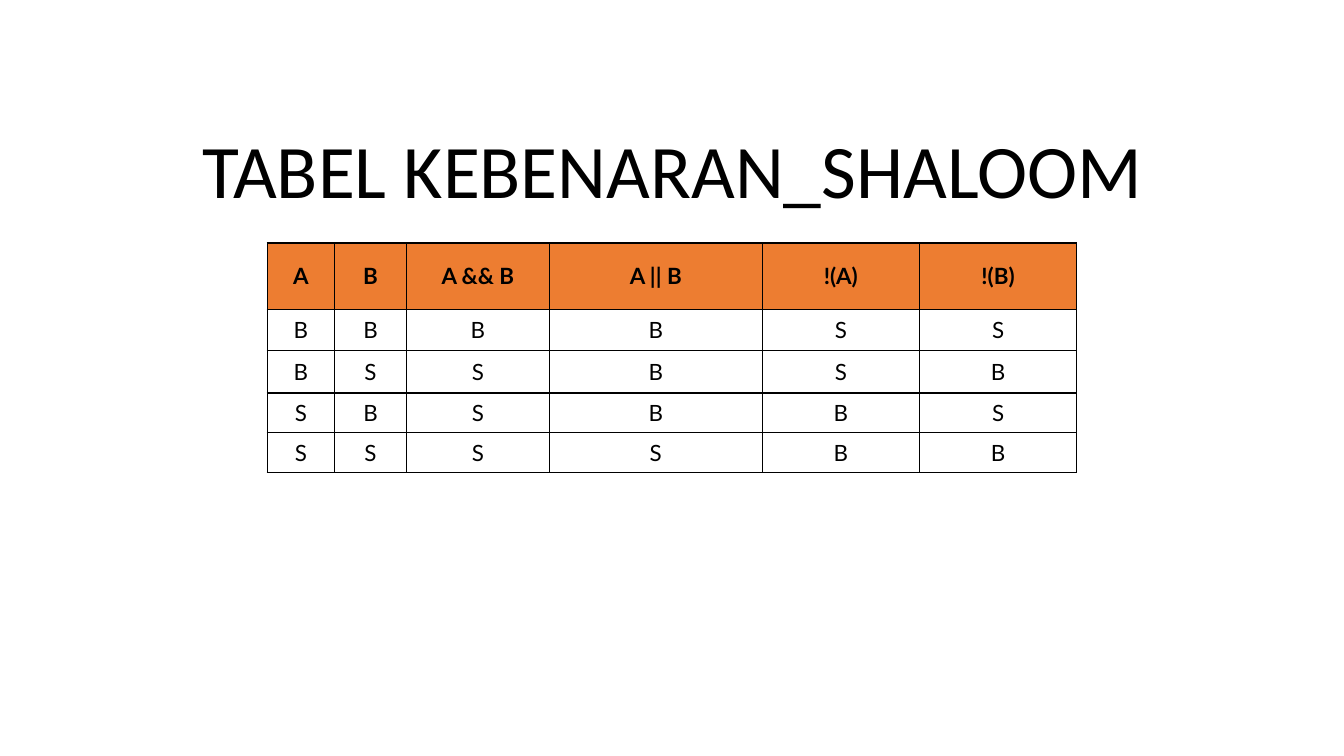
from lxml import etree
from pptx import Presentation
from pptx import util as u
from pptx.dml.color import RGBColor
from pptx.enum import text
from pptx.oxml.ns import qn

PX = 9144  # EMU per px, 100 px to the inch
COLORS = {"ink": "000000", "header": "ED7D31", "body": "FFFFFF"}

HEADINGS = ["A", "B", "A && B", "A || B", "!(A)", "!(B)"]
TRUTH_ROWS = ["BBBBSS", "BSSBSB", "SBSBBS", "SSSSBB"]
COLUMN_WIDTHS = [67, 71, 142, 211, 156, 156]
ROW_HEIGHTS = [66, 41, 42, 39, 40]


def px(length):
    return u.Emu(length * PX)


def write_text(frame, content, font="Lato", size=16, bold=False, spacing=1.0):
    paragraph = frame.paragraphs[0]
    paragraph.alignment = text.PP_ALIGN.CENTER
    paragraph.line_spacing = spacing
    run = paragraph.add_run()
    run.text = content
    run.font.name = font
    run.font.size = u.Pt(size)
    run.font.bold = bold
    run.font.color.rgb = RGBColor.from_string(COLORS["ink"])


def add_title(slide, content, left, top, width, height):
    title = slide.shapes.add_textbox(px(left), px(top), px(width), px(height))
    title.text_frame.word_wrap = True
    title.text_frame.vertical_anchor = text.MSO_ANCHOR.BOTTOM
    write_text(title.text_frame, content, font="Calibri", size=54, spacing=0.9)


def draw_borders(cell):
    properties = cell._tc.get_or_add_tcPr()
    for side in ("a:lnL", "a:lnR", "a:lnT", "a:lnB"):
        border = etree.SubElement(properties, qn(side), w=str(u.Pt(1)))
        fill = etree.SubElement(border, qn("a:solidFill"))
        etree.SubElement(fill, qn("a:srgbClr"), val=COLORS["ink"])


def fill_cell(cell, content, color, bold):
    draw_borders(cell)
    cell.fill.solid()
    cell.fill.fore_color.rgb = RGBColor.from_string(COLORS[color])
    cell.vertical_anchor = text.MSO_ANCHOR.MIDDLE
    write_text(cell.text_frame, content, bold=bold)


def add_truth_table(slide, left, top):
    rows = [HEADINGS, *TRUTH_ROWS]
    truth_table = slide.shapes.add_table(
        len(rows), len(HEADINGS), px(left), px(top),
        px(sum(COLUMN_WIDTHS)), px(sum(ROW_HEIGHTS))).table
    for column, width in zip(truth_table.columns, COLUMN_WIDTHS):
        column.width = px(width)
    for row, height in zip(truth_table.rows, ROW_HEIGHTS):
        row.height = px(height)

    for r, values in enumerate(rows):
        for c, value in enumerate(values):
            fill_cell(truth_table.cell(r, c), value,
                      color="body" if r else "header", bold=r == 0)


def main():
    deck = Presentation()
    deck.slide_width, deck.slide_height = px(1333), px(750)
    slide = deck.slides.add_slide(deck.slide_layouts[6])

    # Heading
    add_title(slide, "TABEL KEBENARAN_SHALOOM", 167, 123, 1000, 95)

    # Truth table: B is true, S is false
    add_truth_table(slide, 265, 241)

    deck.save("out.pptx")


if __name__ == "__main__":
    main()
